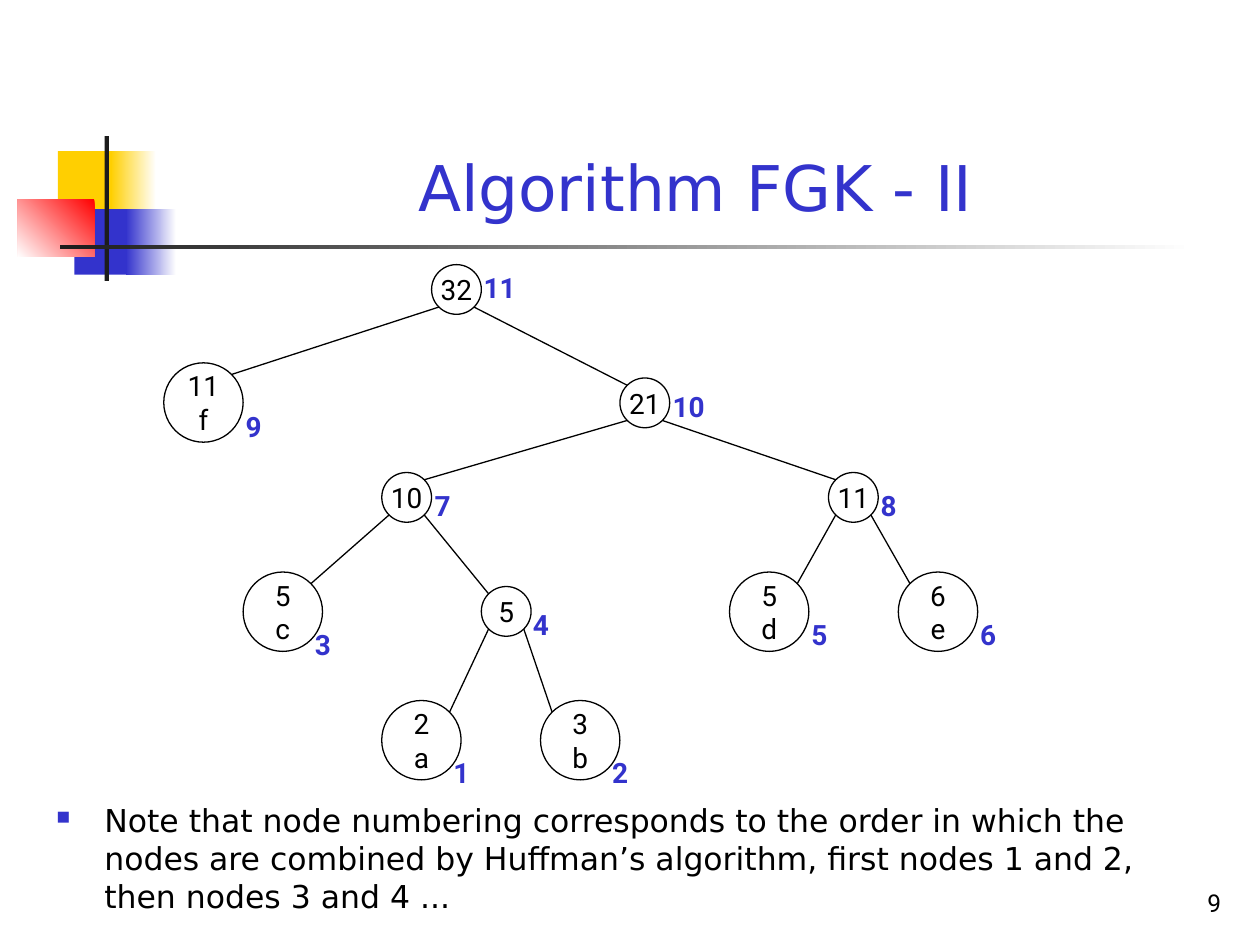
from dataclasses import dataclass
from math import sqrt

from lxml import etree
from pptx import Presentation
from pptx import util as u
from pptx.dml.color import RGBColor
from pptx.enum import shapes, text
from pptx.oxml.ns import qn

BLACK = RGBColor(0x00, 0x00, 0x00)
WHITE = RGBColor(0xFF, 0xFF, 0xFF)
CHARCOAL = RGBColor(0x1C, 0x1C, 0x1C)
BLUE = RGBColor(0x33, 0x33, 0xCC)
YELLOW = RGBColor(0xFF, 0xCF, 0x01)
RED = RGBColor(0xFF, 0x00, 0x00)

COLUMNS, ROWS = 100, 75
LEAF, INNER = 6.3, 3.95  # node diameters in grid cells
LEFT, CENTER, RIGHT = text.PP_ALIGN.LEFT, text.PP_ALIGN.CENTER, text.PP_ALIGN.RIGHT
TOP, MIDDLE, BOTTOM = (text.MSO_ANCHOR.TOP, text.MSO_ANCHOR.MIDDLE,
                       text.MSO_ANCHOR.BOTTOM)


@dataclass
class Node:
    lines: list
    column: float
    row: float
    label_shift: tuple

    @property
    def diameter(self):
        return LEAF if len(self.lines) > 1 else INNER

    def diagonal(self, across, down):
        """Point on the circle at 45 degrees; across and down are -1 or 1."""
        radius = self.diameter / 2
        reach = radius / sqrt(2)
        return (self.column + radius + across * reach,
                self.row + radius + down * reach)


class Deck:
    heading_font, node_font = "DejaVu Sans", "Roboto"
    line_width = u.Pt(0.75)

    def __init__(self):
        self.presentation = Presentation()
        self.presentation.slide_width = u.Inches(10)
        self.presentation.slide_height = u.Inches(7.5)
        self.slide = self.presentation.slides.add_slide(
            self.presentation.slide_layouts[6])

    def x(self, columns):
        return round(self.presentation.slide_width * columns / COLUMNS)

    def y(self, rows):
        return round(self.presentation.slide_height * rows / ROWS)

    def box(self, column, row, width, height):
        return self.x(column), self.y(row), self.x(width), self.y(height)

    def block(self, place, *colors, angle=180):
        """Rectangle with one flat colour, or a gradient between two."""
        shape = self.slide.shapes.add_shape(
            shapes.MSO_SHAPE.RECTANGLE, *self.box(*place))
        shape.shadow.inherit = False
        shape.line.fill.background()
        if len(colors) == 1:
            shape.fill.solid()
            shape.fill.fore_color.rgb = colors[0]
            return
        shape.fill.gradient()
        shape.fill.gradient_angle = angle
        for stop, color in zip(shape.fill.gradient_stops, colors):
            stop.color.rgb = color

    def fill_text(self, shape, lines, size, font, color, align=LEFT, anchor=TOP,
                  bold=False, wrap=True, before=0):
        frame = shape.text_frame
        frame.word_wrap = wrap
        frame.vertical_anchor = anchor
        for index, line in enumerate(lines):
            paragraph = frame.add_paragraph() if index else frame.paragraphs[0]
            paragraph.alignment = align
            paragraph.space_before = u.Pt(before)
            run = paragraph.add_run()
            run.text = line
            run.font.name, run.font.size = font, u.Pt(size)
            run.font.bold = bold
            run.font.color.rgb = color
        return frame

    def text(self, place, line, size, font, color, **style):
        shape = self.slide.shapes.add_textbox(*self.box(*place))
        return self.fill_text(shape, [line], size, font, color, **style)

    def bullet(self, place, line):
        frame = self.text(place, line, 18, self.heading_font, BLACK, before=4.5)
        properties = frame.paragraphs[0]._p.get_or_add_pPr()
        indent = u.Inches(0.38)
        properties.set("marL", str(indent))
        properties.set("indent", str(-indent))
        color = etree.SubElement(properties, qn("a:buClr"))
        etree.SubElement(color, qn("a:srgbClr"), val=str(BLUE))
        etree.SubElement(properties, qn("a:buSzPct"), val="60000")
        etree.SubElement(properties, qn("a:buChar"), char="■")

    def node(self, node):
        shape = self.slide.shapes.add_shape(
            shapes.MSO_SHAPE.OVAL,
            *self.box(node.column, node.row, node.diameter, node.diameter))
        shape.shadow.inherit = False
        shape.fill.background()
        shape.line.color.rgb = BLACK
        shape.line.width = self.line_width
        self.fill_text(shape, node.lines, 16, self.node_font, BLACK,
                       align=CENTER, anchor=MIDDLE, wrap=False)

    def edge(self, parent, child, side):
        """Line from the lower corner of parent to the facing one of child."""
        start, end = parent.diagonal(side, 1), child.diagonal(-side, -1)
        line = self.slide.shapes.add_connector(
            shapes.MSO_CONNECTOR.STRAIGHT, self.x(start[0]), self.y(start[1]),
            self.x(end[0]), self.y(end[1]))
        line.line.color.rgb = BLACK
        line.line.width = self.line_width
        etree.SubElement(line._element.spPr, qn("a:effectLst"))

    def label(self, number, node):
        across, down = node.label_shift
        width = 3.9 if number < 10 else 5.5
        frame = self.text((node.column + across, node.row + down, width, 3.7),
                          str(number), 16, self.node_font, BLUE,
                          bold=True, before=10)
        frame.auto_size = text.MSO_AUTO_SIZE.SHAPE_TO_FIT_TEXT


# Keys are the node numbers shown beside the circles.
NODES = {
    1: Node(["2", "a"], 30.3, 55.6, (4.7, 3.9)),
    2: Node(["3", "b"], 42.9, 55.6, (4.7, 3.9)),
    3: Node(["5", "c"], 19.3, 45.4, (4.7, 3.9)),
    4: Node(["5"], 38.2, 46.55, (3.1, 1.15)),
    5: Node(["5", "d"], 57.9, 45.4, (5.5, 3.1)),
    6: Node(["6", "e"], 71.3, 45.4, (5.5, 3.1)),
    7: Node(["10"], 30.3, 37.5, (3.2, 0.8)),
    8: Node(["11"], 65.75, 37.5, (3.15, 0.8)),
    9: Node(["11", "f"], 13, 28.8, (5.5, 3.2)),
    10: Node(["21"], 49.2, 30, (3.2, 0.4)),
    11: Node(["32"], 34.25, 21, (3.15, 0)),
}
CHILDREN = {11: (9, 10), 10: (7, 8), 7: (3, 4), 8: (5, 6), 4: (1, 2)}


def main():
    deck = Deck()
    deck.block((4.6, 12, 4.8, 5.2), YELLOW)
    deck.block((8.8, 12, 3.6, 5.2), WHITE, YELLOW)
    deck.block((5.9, 16.6, 4.6, 5.2), BLUE)
    deck.block((10, 16.6, 4, 5.2), WHITE, BLUE)
    deck.block((1.4, 15.8, 6.1, 4.6), RED, WHITE, angle=225)
    deck.block((8.3, 10.8, 0.35, 11.5), CHARCOAL)
    deck.block((4.8, 19.45, 90, 0.35), WHITE, CHARCOAL)

    deck.text((12.6, 2.3, 85.2, 16), "Algorithm FGK - II", 36,
              deck.heading_font, BLUE, align=CENTER, anchor=BOTTOM)
    deck.bullet((3.5, 63.1, 93.7, 10.2),
                "Note that node numbering corresponds to the order in which "
                "the nodes are combined by Huffman’s algorithm, first nodes "
                "1 and 2, then nodes 3 and 4 ...")

    for node in NODES.values():
        deck.node(node)
    for parent, pair in CHILDREN.items():
        for child, side in zip(pair, (-1, 1)):
            deck.edge(NODES[parent], NODES[child], side)
    for number, node in NODES.items():
        deck.label(number, node)

    deck.text((89.4, 68.3, 8.5, 5), "9", 14, deck.node_font, BLACK,
              align=RIGHT, anchor=BOTTOM)
    deck.presentation.save("out.pptx")


if __name__ == "__main__":
    main()
